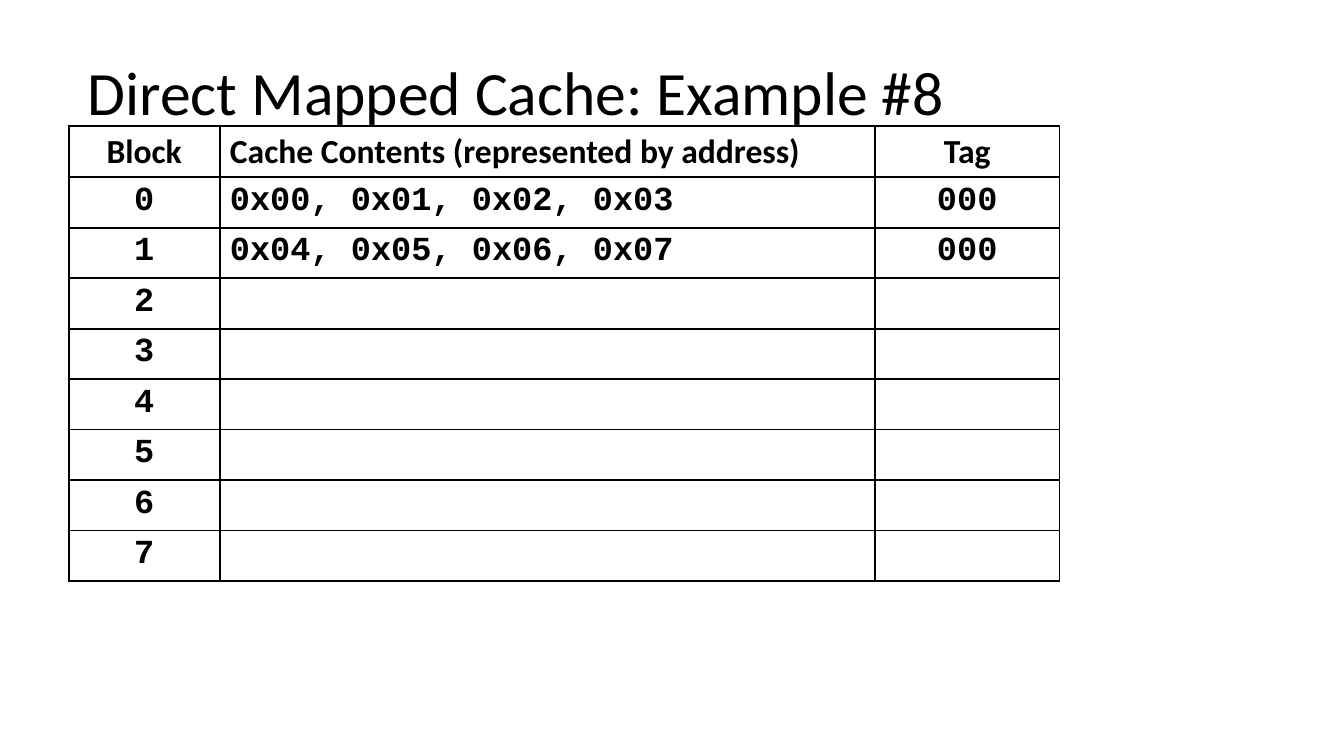
from dataclasses import dataclass

from lxml.etree import SubElement
from pptx import Presentation
from pptx.dml.color import RGBColor
from pptx.enum.text import MSO_ANCHOR, PP_ALIGN
from pptx.oxml.ns import qn
from pptx.util import Cm, Pt


@dataclass(frozen=True)
class Theme:
    ink: str = "000000"
    paper: str = "FFFFFF"
    title_size: int = 44
    table_size: int = 24
    border_width: float = 1.5
    text_font: str = "Calibri"
    code_font: str = "Courier New"


def write_text(frame, text, *, font, size, color, bold=False,
               align=PP_ALIGN.LEFT, line_spacing=None):
    paragraph = frame.paragraphs[0]
    paragraph.alignment = align
    if line_spacing:
        paragraph.line_spacing = line_spacing
    run = paragraph.add_run()
    run.text = text
    run.font.name = font
    run.font.size = Pt(size)
    run.font.bold = bold
    run.font.color.rgb = RGBColor.from_string(color)


class SlideBuilder:
    def __init__(self, slide, theme):
        self.slide = slide
        self.theme = theme

    def add_title(self, text, left, top, width, height):
        shape = self.slide.shapes.add_textbox(Cm(left), Cm(top), Cm(width), Cm(height))
        frame = shape.text_frame
        frame.word_wrap = True
        frame.vertical_anchor = MSO_ANCHOR.MIDDLE
        write_text(frame, text, font=self.theme.text_font, size=self.theme.title_size,
                   color=self.theme.ink, line_spacing=0.9)

    def add_cache_table(self, rows, left, top, widths, header_height, row_height):
        heights = [header_height] + [row_height] * (len(rows) - 1)
        table = self.slide.shapes.add_table(
            len(rows), len(widths), Cm(left), Cm(top),
            Cm(sum(widths)), Cm(sum(heights))).table
        table.first_row = False
        table.horz_banding = False
        for column, width in zip(table.columns, widths):
            column.width = Cm(width)
        for row_index, (row, height) in enumerate(zip(rows, heights)):
            table.rows[row_index].height = Cm(height)
            for column_index, text in enumerate(row):
                self.fill_cell(table.cell(row_index, column_index), text,
                               is_header=row_index == 0, centred=column_index != 1)

    def fill_cell(self, cell, text, is_header, centred):
        # Borders come before the fill in the cell properties
        properties = cell._tc.get_or_add_tcPr()
        for side in ("a:lnL", "a:lnR", "a:lnT", "a:lnB"):
            line = SubElement(properties, qn(side), w=str(Pt(self.theme.border_width)))
            fill = SubElement(line, qn("a:solidFill"))
            SubElement(fill, qn("a:srgbClr"), val=self.theme.ink)
        cell.fill.solid()
        cell.fill.fore_color.rgb = RGBColor.from_string(self.theme.paper)
        if is_header and centred:
            cell.vertical_anchor = MSO_ANCHOR.MIDDLE
        if text:
            write_text(cell.text_frame, text,
                       font=self.theme.text_font if is_header else self.theme.code_font,
                       size=self.theme.table_size, color=self.theme.ink, bold=True,
                       align=PP_ALIGN.CENTER if centred else PP_ALIGN.LEFT)


def main():
    presentation = Presentation()
    presentation.slide_width = Cm(33.87)
    presentation.slide_height = Cm(19.05)
    slide = presentation.slides.add_slide(presentation.slide_layouts[6])
    builder = SlideBuilder(slide, Theme())

    # Title
    builder.add_title("Direct Mapped Cache: Example #8", 1.96, 0.38, 29.21, 4.06)

    # Cache state: filled blocks first, the rest empty
    filled = {
        0: ("0x00, 0x01, 0x02, 0x03", "000"),
        1: ("0x04, 0x05, 0x06, 0x07", "000"),
    }
    rows = [("Block", "Cache Contents (represented by address)", "Tag")]
    rows += [(str(block), *filled.get(block, ("", ""))) for block in range(8)]
    builder.add_cache_table(rows, left=1.73, top=3.18, widths=(3.81, 16.51, 4.65),
                            header_height=1.29, row_height=1.22)

    presentation.save("out.pptx")


if __name__ == "__main__":
    main()
